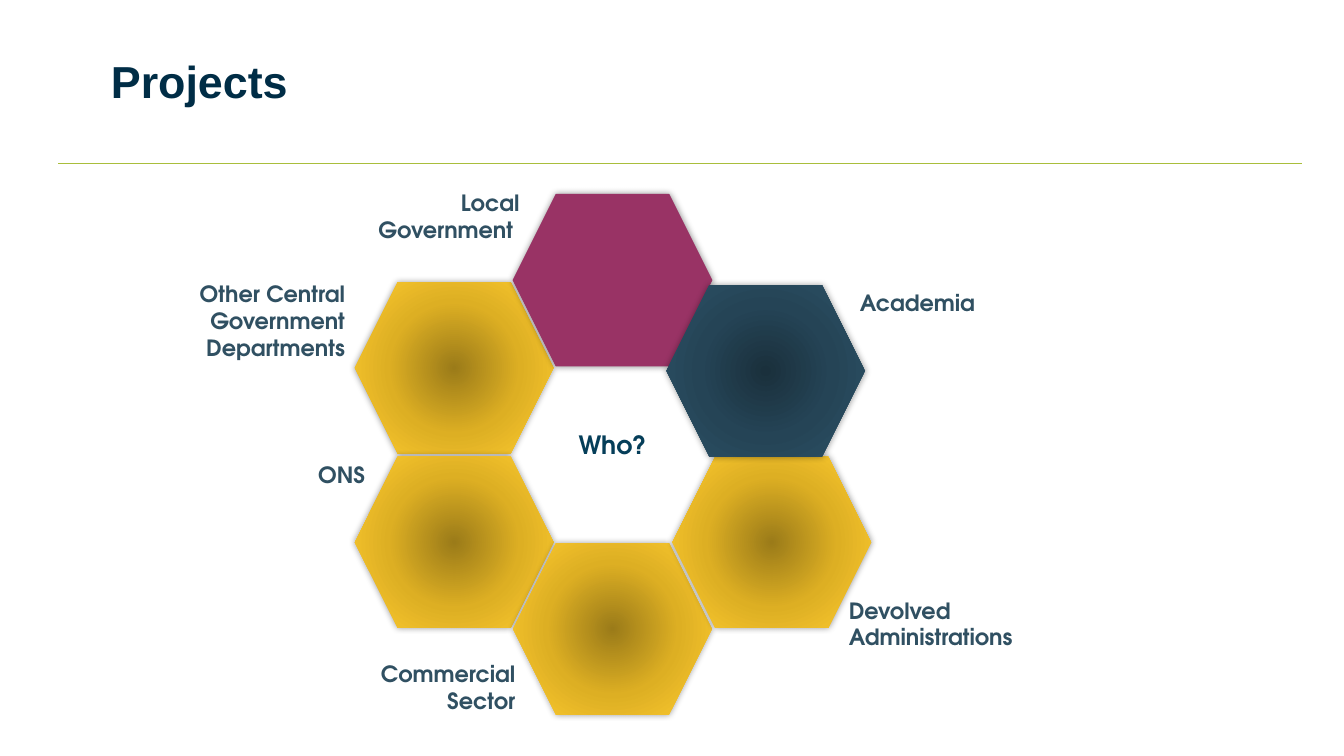
"""Build the Projects slide: a ring of hexagons naming who takes part."""
from lxml import etree
from pptx import Presentation
from pptx.dml.color import RGBColor
from pptx.enum.shapes import MSO_CONNECTOR, MSO_SHAPE
from pptx.enum.text import MSO_ANCHOR, MSO_AUTO_SIZE, PP_ALIGN
from pptx.oxml import parse_xml
from pptx.oxml.ns import qn
from pptx.util import Pt

PX = 9144
NS = 'xmlns:a="http://schemas.openxmlformats.org/drawingml/2006/main"'
C = {"title": "002D46", "rule": "A9BE3B", "who": "053E59", "label": "305062", "plum": "993365"}
GRADIENTS = {
    "gold": ("9B7B19", "DDAF23", "FFCC31"),
    "navy": ("1A303C", "254456", "2C5166"),
}


def write(shape, text, size, color, font, align=PP_ALIGN.LEFT):
    tf = shape.text_frame
    tf.word_wrap = True
    tf.text = text
    for p in tf.paragraphs:
        p.alignment = align
        for r in p.runs:
            r.font.name, r.font.size, r.font.bold = font, Pt(size), True
            r.font.color.rgb = RGBColor.from_string(C[color])
    return tf


def radial(colors):
    stops = "".join(
        f'<a:gs pos="{i * 50000}"><a:srgbClr val="{c}"/></a:gs>' for i, c in enumerate(colors))
    return parse_xml(
        f'<a:gradFill {NS} rotWithShape="1"><a:gsLst>{stops}</a:gsLst><a:path path="circle">'
        '<a:fillToRect l="50000" t="50000" r="50000" b="50000"/></a:path></a:gradFill>')


prs = Presentation()
prs.slide_width, prs.slide_height = 1333 * PX, 750 * PX
s = prs.slides.add_slide(prs.slide_layouts[5])

title = s.shapes.title
title.left, title.top, title.width, title.height = 100 * PX, 17 * PX, 1133 * PX, 125 * PX
write(title, "Projects", 32, "title", "Arial").vertical_anchor = MSO_ANCHOR.MIDDLE

rule = s.shapes.add_connector(MSO_CONNECTOR.STRAIGHT, 58 * PX, 162 * PX, 1291 * PX, 162 * PX)
rule.line.color.rgb = RGBColor.from_string(C["rule"])
rule.line.width = Pt(0.75)
etree.SubElement(rule._element.spPr, qn("a:effectLst"))

hexagons = [
    (352, 280, "gold"), (509, 193, "plum"), (352, 453, "gold"),
    (509, 539, "gold"), (667, 453, "gold"), (661, 283, "navy"),
]
for x, y, fill in hexagons:
    sp = s.shapes.add_shape(MSO_SHAPE.HEXAGON, x * PX, y * PX, 197 * PX, 170 * PX)
    sp.shadow.inherit = False
    if fill in GRADIENTS:
        sp.line.fill.background()
        sp.fill.background()
        spPr = sp._element.spPr
        spPr.replace(spPr.find(qn("a:noFill")), radial(GRADIENTS[fill]))
    else:
        sp.fill.solid()
        sp.fill.fore_color.rgb = sp.line.color.rgb = RGBColor.from_string(C[fill])
        sp.line.width = Pt(0.75)
    sp._element.spPr.find(qn("a:effectLst")).append(parse_xml(
        f'<a:outerShdw {NS} blurRad="63500" dist="0" dir="0" rotWithShape="0">'
        '<a:srgbClr val="000000"><a:alpha val="40000"/></a:srgbClr></a:outerShdw>'))

L, R = PP_ALIGN.LEFT, PP_ALIGN.RIGHT
labels = [
    ("Who?", 564, 421, 110, 40, 18, "who", L),
    ("Other Central Government Departments", 147, 273, 205, 91, 16, "label", R),
    ("Local Government ", 320, 183, 205, 64, 16, "label", R),
    ("Commercial Sector", 316, 650, 205, 64, 16, "label", R),
    ("ONS", 281, 453, 91, 37, 16, "label", R),
    ("Devolved\nAdministrations", 832, 587, 205, 64, 16, "label", L),
    ("Academia", 843, 282, 146, 37, 16, "label", L),
]
for text, x, y, w, h, size, color, align in labels:
    box = s.shapes.add_textbox(x * PX, y * PX, w * PX, h * PX)
    tf = write(box, text, size, color, "TeX Gyre Adventor", align)
    tf.auto_size = MSO_AUTO_SIZE.SHAPE_TO_FIT_TEXT

prs.save("out.pptx")
